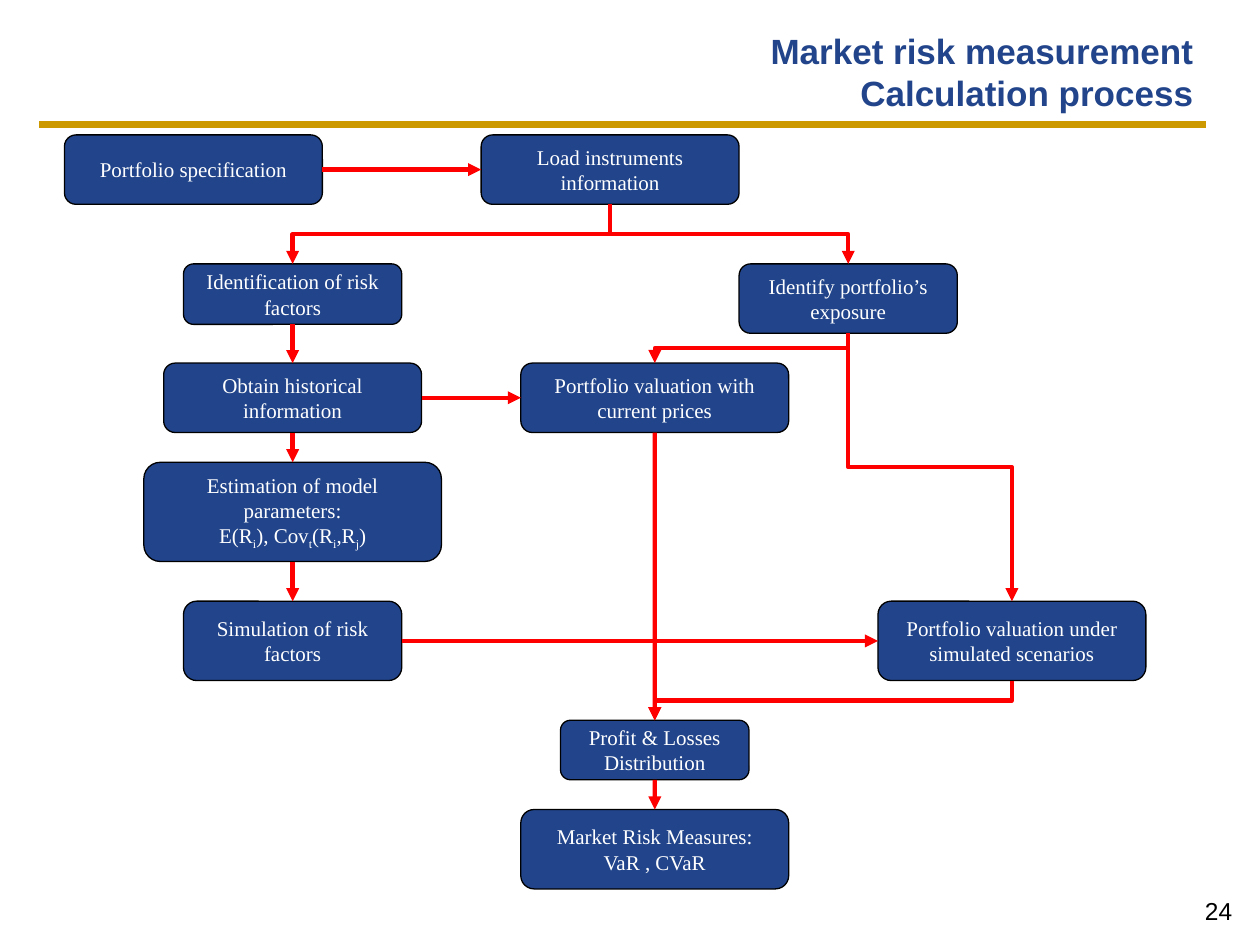
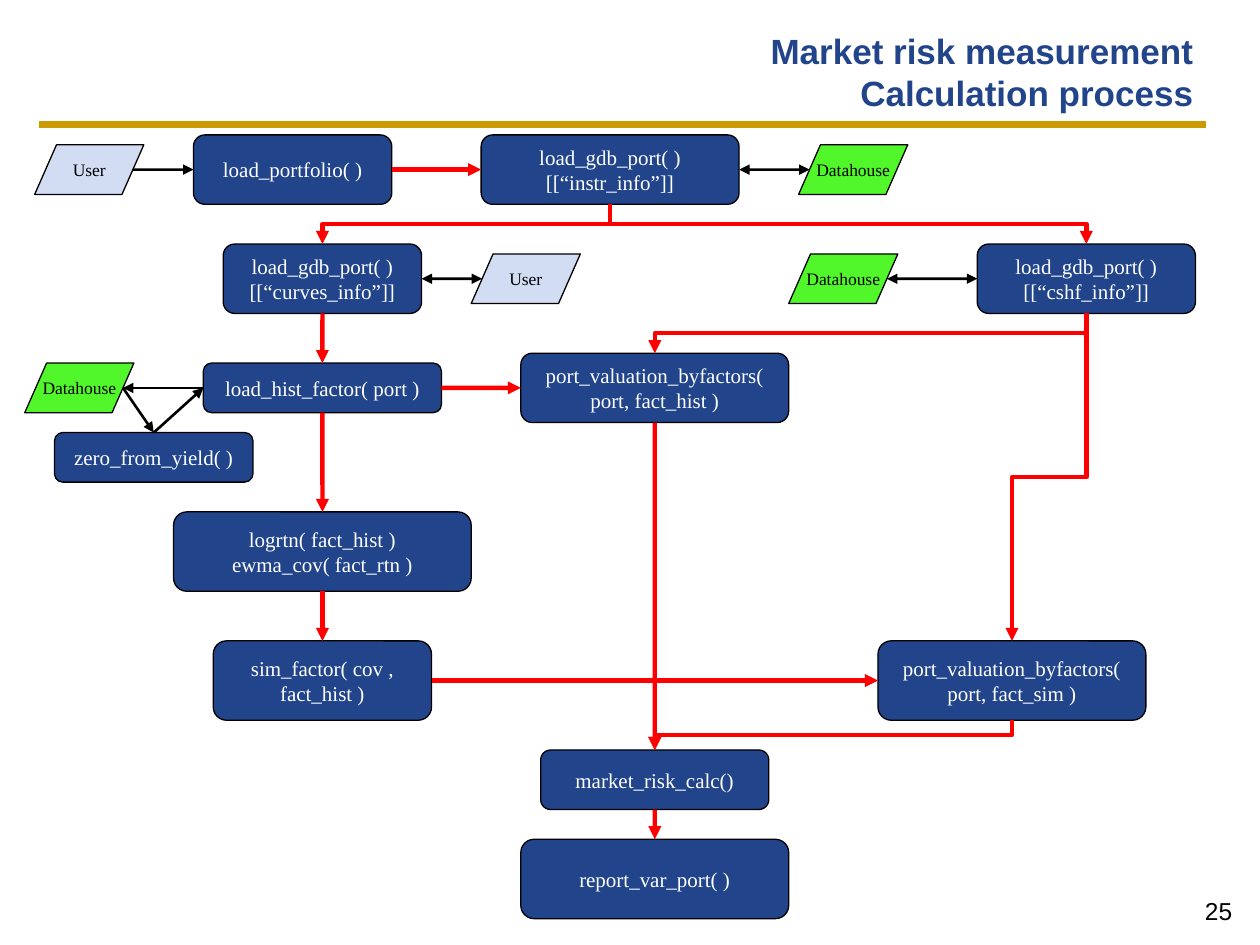
from lxml.etree import SubElement
from pptx import Presentation
from pptx.dml.color import RGBColor
from pptx.enum.shapes import MSO_CONNECTOR, MSO_SHAPE
from pptx.enum.text import MSO_ANCHOR, PP_ALIGN
from pptx.oxml.ns import qn
from pptx.util import Cm, Pt

COLORS = {
    "navy": "21448A",
    "gold": "CC9900",
    "red": "FF0000",
    "black": "000000",
    "white": "FFFFFF",
    "green": "51F72A",
    "pale": "D2DDF4",
}
TOP, LEFT, BOTTOM, RIGHT = range(4)
TITLE = "Market risk measurement\vCalculation process"
PROVIDER = "Datahouse"


def color(name):
    return RGBColor.from_string(COLORS[name])


def write_text(shape, text, font="Times New Roman", size=12, fill="white", bold=False,
               align=PP_ALIGN.CENTER, anchor=MSO_ANCHOR.MIDDLE, wrap=True):
    frame = shape.text_frame
    frame.word_wrap = wrap
    frame.vertical_anchor = anchor
    for index, line in enumerate(text.split("\n")):
        paragraph = frame.add_paragraph() if index else frame.paragraphs[0]
        paragraph.alignment = align
        for position, piece in enumerate(line.split("~")):
            for part, words in enumerate(piece.split("\v")):
                if part:
                    paragraph.add_line_break()
                run = paragraph.add_run()
                run.text = words
                run.font.name = font
                run.font.size = Pt(size)
                run.font.bold = bold
                run.font.color.rgb = color(fill)
                if position % 2:
                    run._r.get_or_add_rPr().set("baseline", "-25000")


class FlowDeck:
    def __init__(self):
        self.presentation = Presentation()
        self.presentation.slide_width = Cm(25.4)
        self.presentation.slide_height = Cm(19.05)
        self.slide = None

    def add_slide(self, title, number):
        self.slide = self.presentation.slides.add_slide(self.presentation.slide_layouts[6])
        self.line((24.31, 2.51), (0.79, 2.51), "gold", 4.5, tail=False)
        self.text(title, 2.31, 0.58, 22, 1.73, font="Arial", size=20, fill="navy",
                  bold=True, align=PP_ALIGN.RIGHT)
        self.text(str(number), 19.81, 17.93, 5.28, 0.71, font="Arial", size=14,
                  fill="black", align=PP_ALIGN.RIGHT, anchor=MSO_ANCHOR.TOP)

    def text(self, text, left, top, width, height, **style):
        shape = self.slide.shapes.add_textbox(Cm(left), Cm(top), Cm(width), Cm(height))
        write_text(shape, text, **style)

    def shape(self, kind, fill, center, top, width, height):
        shape = self.slide.shapes.add_shape(
            kind, Cm(center - width / 2), Cm(top), Cm(width), Cm(height))
        shape.shadow.inherit = False
        shape.fill.solid()
        shape.fill.fore_color.rgb = color(fill)
        shape.line.color.rgb = color("black")
        shape.line.width = Pt(0.75)
        return shape

    def step(self, text, center, top, width, height=1.4):
        shape = self.shape(MSO_SHAPE.ROUNDED_RECTANGLE, "navy", center, top, width, height)
        write_text(shape, text)
        return shape

    def party(self, text, fill, center, top):
        shape = self.shape(MSO_SHAPE.FLOWCHART_DATA, fill, center, top, 2.2, 1)
        write_text(shape, text, size=10, fill="black", wrap=False)
        middle = top + 0.5
        return (center - 0.88, middle), (center + 0.88, middle)

    def connector(self, kind, start, end, stroke, width, head=False, tail=True):
        connector = self.slide.shapes.add_connector(kind, 0, 0, 0, 0)
        first, second = start, end
        if isinstance(first[0], float):
            connector.begin_x, connector.begin_y = map(Cm, first)
        else:
            connector.begin_connect(*first)
        if isinstance(second[0], float):
            connector.end_x, connector.end_y = map(Cm, second)
        else:
            connector.end_connect(*second)
        connector.line.color.rgb = color(stroke)
        connector.line.width = Pt(width)
        outline = connector.line._get_or_add_ln()
        for tag, shown in (("a:headEnd", head), ("a:tailEnd", tail)):
            if shown:
                SubElement(outline, qn(tag)).set("type", "triangle")
        SubElement(connector._element.spPr, qn("a:effectLst"))
        return connector

    def line(self, start, end, stroke="black", width=1.5, **ends):
        self.connector(MSO_CONNECTOR.STRAIGHT, start, end, stroke, width, **ends)

    def down(self, *steps):
        for upper, lower in zip(steps, steps[1:]):
            self.line((upper, BOTTOM), (lower, TOP), "red", 2.5)

    def across(self, start, end):
        self.line((start, RIGHT), (end, LEFT), "red", 2.5)

    def elbow(self, upper, lower):
        connector = self.connector(
            MSO_CONNECTOR.ELBOW, (upper, BOTTOM), (lower, TOP), "red", 2.5)
        start_x = upper.left + upper.width // 2
        start_y = upper.top + upper.height
        end_x = lower.left + lower.width // 2
        run, drop = abs(end_x - start_x), lower.top - start_y
        connector.left = (start_x + end_x - drop) // 2
        connector.top = (start_y + lower.top - run) // 2
        connector.width, connector.height = drop, run
        rightward = end_x > start_x
        transform = connector._element.spPr.find(qn("a:xfrm"))
        transform.set("rot", str((270 if rightward else 90) * 60000))
        transform.set("flipH", "1" if rightward else "0")
        transform.set("flipV", "0")


def add_process(deck):
    deck.add_slide(TITLE, 24)
    specification = deck.step("Portfolio specification", 3.9, 2.72, 5.2)
    instruments = deck.step("Load instruments information", 12.3, 2.72, 5.2)
    factors = deck.step("Identification of risk factors", 5.9, 5.32, 4.4, 1.22)
    exposure = deck.step("Identify portfolio’s exposure", 17.1, 5.32, 4.4)
    history = deck.step("Obtain historical information", 5.9, 7.32, 5.2)
    current = deck.step("Portfolio valuation with current prices", 13.2, 7.32, 5.4)
    parameters = deck.step("Estimation of model parameters:\nE(R~i~), Cov~t~(R~i~,R~j~)",
                           5.9, 9.32, 6, 2)
    simulation = deck.step("Simulation of risk factors", 5.9, 12.12, 4.4, 1.6)
    scenarios = deck.step("Portfolio valuation under simulated scenarios",
                          20.4, 12.12, 5.4, 1.6)
    distribution = deck.step("Profit & Losses\nDistribution", 13.2, 14.52, 3.8, 1.2)
    measures = deck.step("Market Risk Measures:\nVaR , CVaR", 13.2, 16.32, 5.4, 1.6)

    deck.across(specification, instruments)
    deck.across(history, current)
    deck.across(simulation, scenarios)
    deck.down(factors, history, parameters, simulation)
    deck.down(current, distribution, measures)
    for upper, lower in ((instruments, factors), (instruments, exposure),
                         (exposure, scenarios), (exposure, current),
                         (scenarios, distribution)):
        deck.elbow(upper, lower)


def add_functions(deck):
    deck.add_slide(TITLE, 25)
    portfolio = deck.step("load_portfolio( )", 5.9, 2.72, 4)
    instruments = deck.step("load_gdb_port( )\n[[“instr_info”]]", 12.3, 2.72, 5.2)
    curves = deck.step("load_gdb_port( )\n[[“curves_info”]]", 6.5, 4.92, 4)
    cash_flows = deck.step("load_gdb_port( )\n[[“cshf_info”]]", 21.9, 4.92, 4.4)
    history = deck.step("load_hist_factor( port )", 6.5, 7.32, 4.8, 1)
    current = deck.step("port_valuation_byfactors(\nport, fact_hist )", 13.2, 7.12, 5.4)
    zero_curve = deck.step("zero_from_yield( )", 3.1, 8.72, 4, 1)
    covariance = deck.step("logrtn( fact_hist )\newma_cov( fact_rtn )", 6.5, 10.32, 6, 1.6)
    simulation = deck.step("sim_factor( cov , fact_hist )", 6.5, 12.92, 4.4, 1.6)
    scenarios = deck.step("port_valuation_byfactors(\nport, fact_sim )",
                          20.4, 12.92, 5.4, 1.6)
    calculation = deck.step("market_risk_calc()", 13.2, 15.12, 4.6, 1.2)
    report = deck.step("report_var_port( )", 13.2, 16.92, 5.4, 1.6)

    deck.across(portfolio, instruments)
    deck.across(history, current)
    deck.across(simulation, scenarios)
    deck.down(curves, history, covariance, simulation)
    deck.down(current, calculation, report)
    for upper, lower in ((instruments, curves), (instruments, cash_flows),
                         (cash_flows, scenarios), (cash_flows, current),
                         (scenarios, calculation)):
        deck.elbow(upper, lower)

    _, portfolio_user = deck.party("User", "pale", 1.8, 2.92)
    curves_user, _ = deck.party("User", "pale", 10.6, 5.12)
    instruments_source, _ = deck.party(PROVIDER, "green", 17.2, 2.92)
    _, cash_flows_source = deck.party(PROVIDER, "green", 17, 5.12)
    _, history_source = deck.party(PROVIDER, "green", 1.6, 7.32)

    deck.line(portfolio_user, (portfolio, LEFT))
    deck.line((instruments, RIGHT), instruments_source, head=True)
    deck.line((curves, RIGHT), curves_user, head=True)
    deck.line((cash_flows, LEFT), cash_flows_source, head=True)
    deck.line((history, LEFT), history_source)
    deck.line(history_source, (zero_curve, TOP))
    deck.line((zero_curve, TOP), (history, LEFT))


def main():
    deck = FlowDeck()
    add_process(deck)
    add_functions(deck)
    deck.presentation.save("out.pptx")


if __name__ == "__main__":
    main()
